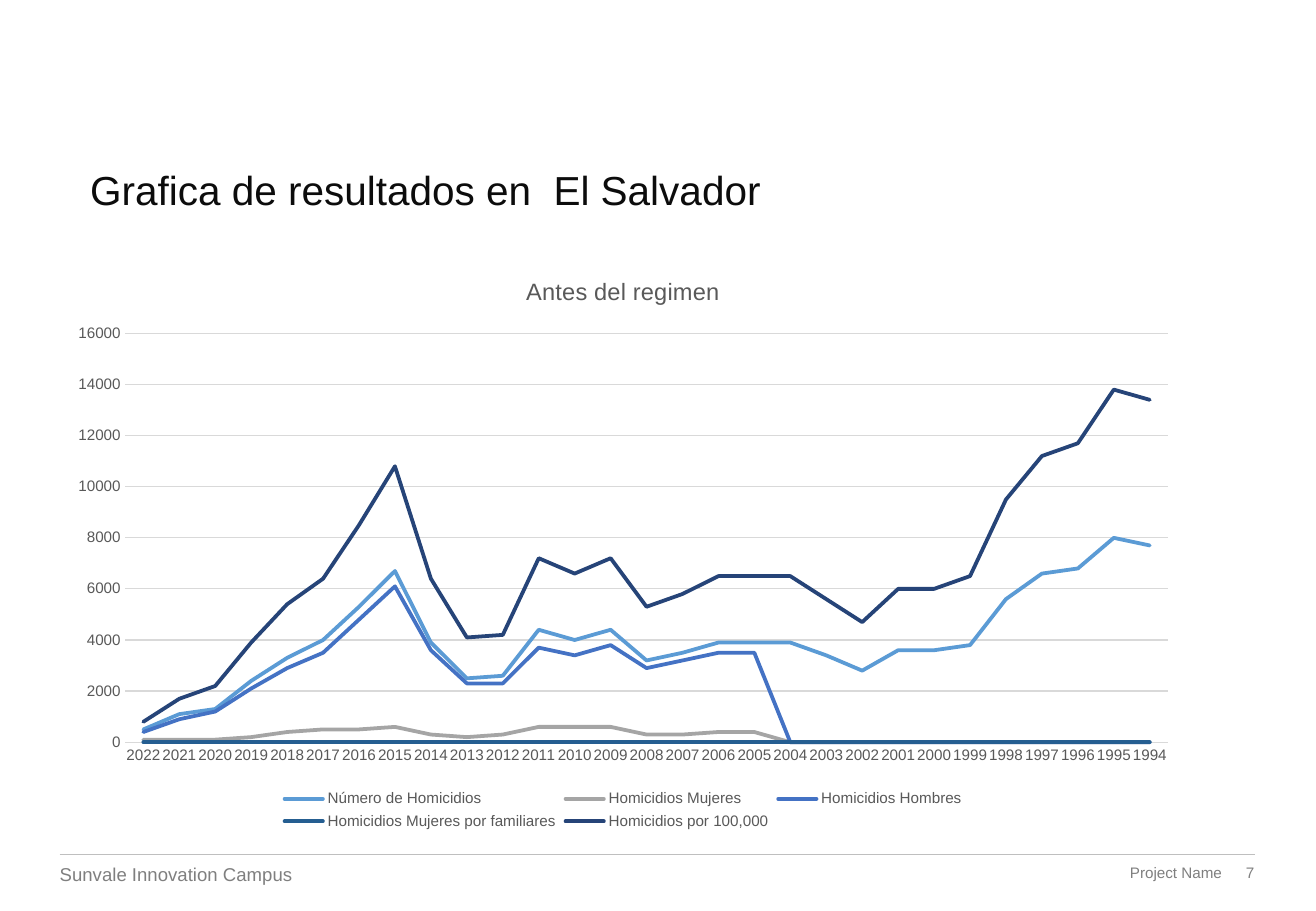
from pptx import Presentation
from pptx.chart.data import CategoryChartData
from pptx.dml.color import RGBColor
from pptx.enum.chart import XL_CHART_TYPE as ChartType, XL_LEGEND_POSITION as LegendPos
from pptx.enum.chart import XL_TICK_MARK as TickMark
from pptx.enum.shapes import MSO_CONNECTOR as Connector
from pptx.enum.text import MSO_ANCHOR as Anchor, PP_ALIGN as Align
from pptx.oxml.ns import qn
from pptx.util import Pt
from lxml.etree import SubElement

PX = 7620  # 120 px to the inch
FONT = "Arial"


def style_font(font, size, color):
    font.name, font.size, font.bold = FONT, Pt(size), False
    font.color.rgb = RGBColor.from_string(color)


def place_text(shape, box, text, size, color, align=Align.LEFT, anchor=Anchor.TOP):
    shape.left, shape.top, shape.width, shape.height = (v * PX for v in box)
    frame = shape.text_frame
    frame.margin_left = frame.margin_right = frame.margin_top = frame.margin_bottom = 0
    frame.word_wrap, frame.vertical_anchor = True, anchor
    frame.text = text
    frame.paragraphs[0].alignment = align
    style_font(frame.paragraphs[0].runs[0].font, size, color)


prs = Presentation()
prs.slide_width, prs.slide_height = 1300 * PX, 900 * PX
slide = prs.slides.add_slide(prs.slide_layouts[5])
shapes = slide.shapes

# Title
place_text(shapes.title, (89, 163, 1121, 48), "Grafica de resultados en  El Salvador", 24, "0C0C0C")
shapes.title.text_frame.paragraphs[0].line_spacing = 1.0

# Footer rule and texts
rule = shapes.add_connector(Connector.STRAIGHT, 59 * PX, 844 * PX, 1240 * PX, 844 * PX)
rule.line.color.rgb = RGBColor.from_string("BFBFBF")
rule.line.width = Pt(0.75)
SubElement(rule._element.spPr, qn("a:effectLst"))

footers = [
    ((59, 853, 379, 23), "Sunvale Innovation Campus", 11, Align.LEFT, Anchor.TOP),
    ((899, 853, 308, 18), "Project Name", 9, Align.RIGHT, Anchor.MIDDLE),
    ((1159, 853, 80, 18), "7", 9, Align.RIGHT, Anchor.MIDDLE),
]
for box, text, size, align, anchor in footers:
    place_text(shapes.add_textbox(0, 0, PX, PX), box, text, size, "7F7F7F", align, anchor)

# Homicide figures, newest year first
years = range(2022, 1993, -1)
homicides = [
    ("Número de Homicidios", "5B9BD5",
     [500, 1100, 1300, 2400, 3300, 4000, 5300, 6700, 3900, 2500, 2600, 4400, 4000, 4400, 3200,
      3500, 3900, 3900, 3900, 3400, 2800, 3600, 3600, 3800, 5600, 6600, 6800, 8000, 7700]),
    ("Homicidios Mujeres", "A5A5A5",
     [100, 100, 100, 200, 400, 500, 500, 600, 300, 200, 300, 600, 600, 600, 300,
      300, 400, 400] + [0] * 11),
    ("Homicidios Hombres", "4472C4",
     [400, 900, 1200, 2100, 2900, 3500, 4800, 6100, 3600, 2300, 2300, 3700, 3400, 3800, 2900,
      3200, 3500, 3500] + [0] * 11),
    ("Homicidios Mujeres por familiares", "255E91", [0] * len(years)),
    ("Homicidios por 100,000", "264478",
     [800, 1700, 2200, 3900, 5400, 6400, 8500, 10800, 6400, 4100, 4200, 7200, 6600, 7200, 5300,
      5800, 6500, 6500, 6500, 5600, 4700, 6000, 6000, 6500, 9500, 11200, 11700, 13800, 13400]),
]
data = CategoryChartData(number_format="0")
data.categories = [str(year) for year in years]
for name, _, values in homicides:
    data.add_series(name, values)

# Line chart
chart = shapes.add_chart(ChartType.LINE, 55 * PX, 251 * PX, 1121 * PX, 574 * PX, data).chart
style_font(chart.font, 10, "000000")
chart.has_title = True
chart.chart_title.text_frame.text = "Antes del regimen"
style_font(chart.chart_title.text_frame.paragraphs[0].runs[0].font, 14, "595959")
chart.chart_title.include_in_layout = False
chart.has_legend = True
chart.legend.position = LegendPos.BOTTOM
chart.legend.include_in_layout = False
style_font(chart.legend.font, 9, "595959")

for series, (_, color, _) in zip(chart.plots[0].series, homicides):
    series.smooth = False
    series.format.line.color.rgb = RGBColor.from_string(color)
    series.format.line.width = Pt(2.25)
for line in chart._chartSpace.xpath(".//c:ser/c:spPr/a:ln"):
    line.set("cap", "rnd")

# Axes
year_axis, count_axis = chart.category_axis, chart.value_axis
for axis in (year_axis, count_axis):
    axis.major_tick_mark = axis.minor_tick_mark = TickMark.NONE
    style_font(axis.tick_labels.font, 9, "595959")
count_axis.minimum_scale, count_axis.maximum_scale = 0, 16000
count_axis.major_unit = 2000
count_axis.tick_labels.number_format = "0"
count_axis.tick_labels.number_format_is_linked = False
count_axis.has_major_gridlines = True
count_axis.format.line.fill.background()
for line in (year_axis.format.line, count_axis.major_gridlines.format.line):
    line.color.rgb = RGBColor.from_string("D9D9D9")
    line.width = Pt(0.75)
# Automatic label angle keeps every year level
year_labels = year_axis._element.find(qn("c:txPr")).find(qn("a:bodyPr"))
year_labels.set("rot", "-60000000")
year_labels.set("vert", "horz")

prs.save("out.pptx")
